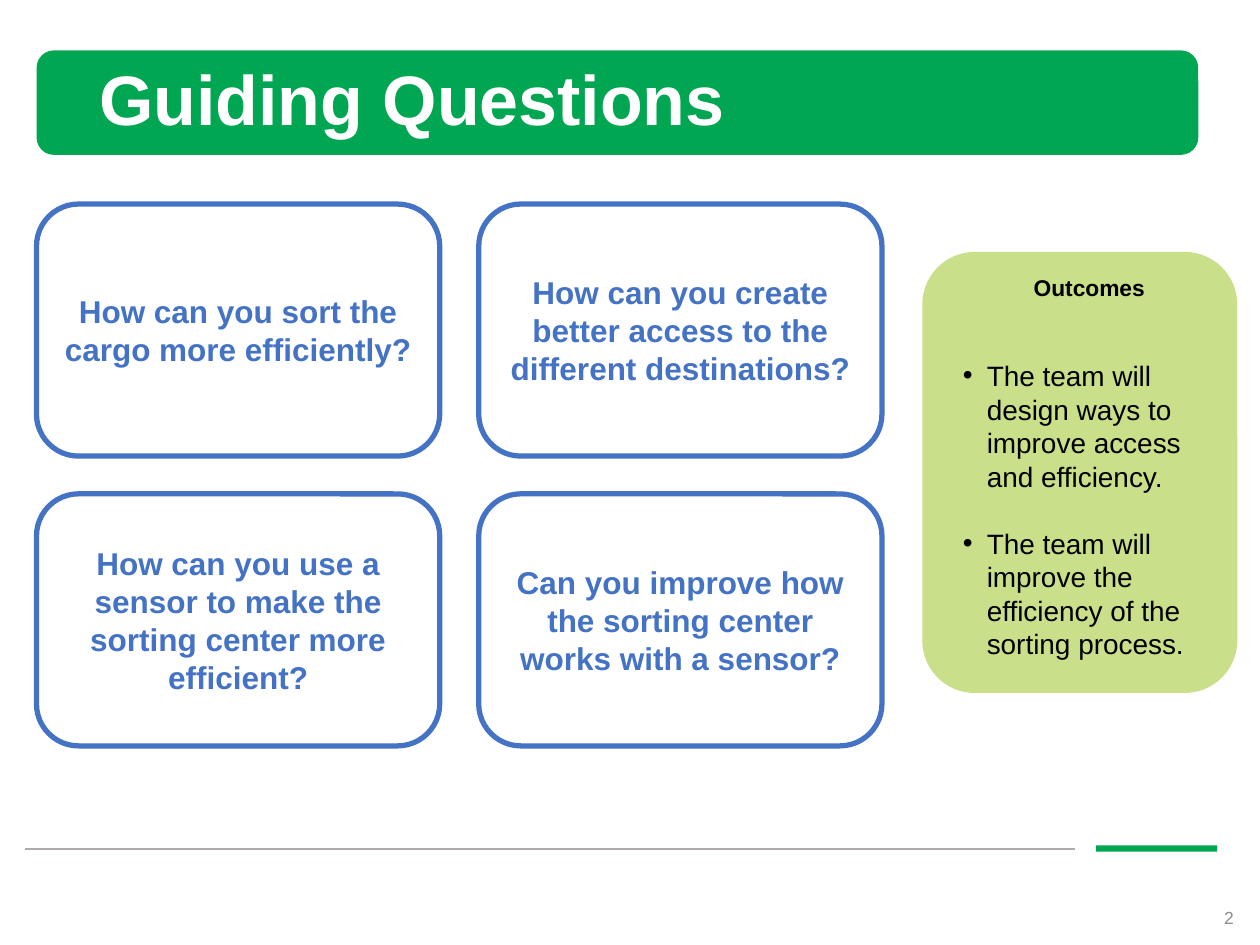
from itertools import product

from lxml.etree import SubElement
from pptx import Presentation
from pptx.dml.color import RGBColor
from pptx.enum.shapes import MSO_CONNECTOR, MSO_SHAPE
from pptx.enum.text import MSO_ANCHOR, PP_ALIGN
from pptx.oxml.ns import qn
from pptx.util import Inches, Pt

GREEN = RGBColor(0x00, 0xA6, 0x51)
LIME = RGBColor(0xC9, 0xDF, 0x89)
BLUE = RGBColor(0x44, 0x72, 0xC4)
RULE_GRAY = RGBColor(0xAF, 0xAB, 0xAB)
NUMBER_GRAY = RGBColor(0x8C, 0x8C, 0x8C)
WHITE = RGBColor(0xFF, 0xFF, 0xFF)
BLACK = RGBColor(0x00, 0x00, 0x00)

FONT = "Arial"
LEFT, TOP = 0.29, 1.62          # first question card
CARD_W, CARD_H = 3.2, 2.0
COL_STEP, ROW_STEP = 3.51, 2.3

QUESTIONS = [
    "How can you sort the cargo more efficiently?",
    "How can you create better access to the different destinations?",
    "How can you use a sensor to make the sorting center more efficient?",
    "Can you improve how the sorting center works with a sensor?",
]
OUTCOMES = [
    "The team will design ways to improve access and efficiency.",
    "The team will improve the efficiency of the sorting process.",
]


def set_frame(sp, anchor=MSO_ANCHOR.MIDDLE, insets=(0.1, 0.05, 0.1, 0.05)):
    """Prepare a text frame; insets are left, top, right, bottom."""
    tf = sp.text_frame
    tf.word_wrap = True
    tf.vertical_anchor = anchor
    (tf.margin_left, tf.margin_top,
     tf.margin_right, tf.margin_bottom) = map(Inches, insets)
    return tf


def add_text(tf, text, size=18, color=BLACK, bold=False, align=PP_ALIGN.LEFT,
             before=0, after=0, spacing=None, bullet=False):
    """Write one paragraph, using the empty first one when there is one."""
    first = tf.paragraphs[0]
    p = tf.add_paragraph() if first.runs else first
    p.alignment = align
    p.space_before, p.space_after = Pt(before), Pt(after)
    if spacing:
        p.line_spacing = spacing
    if bullet:
        pPr = p._p.get_or_add_pPr()
        pPr.set("marL", str(Inches(0.19)))
        pPr.set("indent", str(-Inches(0.19)))
        SubElement(pPr, qn("a:buFont")).set("typeface", FONT)
        SubElement(pPr, qn("a:buChar")).set("char", "•")
    r = p.add_run()
    r.text = text
    r.font.name, r.font.size, r.font.bold = FONT, Pt(size), bold
    r.font.color.rgb = color


def add_box(s, kind, x, y, w, h, fill, line=None):
    sp = s.shapes.add_shape(kind, *map(Inches, (x, y, w, h)))
    sp.shadow.inherit = False
    sp.fill.solid()
    sp.fill.fore_color.rgb = fill
    if line:
        sp.line.color.rgb = line
        sp.line.width = Pt(3)
    else:
        sp.line.fill.background()
    return sp


def add_label(s, x, y, w, h, text, **fmt):
    sp = s.shapes.add_textbox(*map(Inches, (x, y, w, h)))
    add_text(set_frame(sp), text, **fmt)


def add_rule(s, x1, x2, y):
    ln = s.shapes.add_connector(MSO_CONNECTOR.STRAIGHT,
                                *map(Inches, (x1, y, x2, y)))
    ln.line.color.rgb = RULE_GRAY
    ln.line.width = Pt(1)
    SubElement(ln._element.spPr, qn("a:effectLst"))


def add_question(s, col, row, text):
    sp = add_box(s, MSO_SHAPE.ROUNDED_RECTANGLE, LEFT + col * COL_STEP,
                 TOP + row * ROW_STEP, CARD_W, CARD_H, WHITE, BLUE)
    add_text(set_frame(sp), text, color=BLUE, bold=True,
             align=PP_ALIGN.CENTER)


def add_outcomes(s):
    sp = add_box(s, MSO_SHAPE.ROUNDED_RECTANGLE, 7.32, 2, 2.5, 3.5, LIME)
    tf = set_frame(sp, MSO_ANCHOR.TOP, (0.2, 0.05, 0.05, 0.1))
    add_text(tf, "Outcomes", size=13, bold=True, align=PP_ALIGN.CENTER,
             after=33)
    for i, text in enumerate(OUTCOMES):
        add_text(tf, text, size=16, bullet=True, before=19 if i else 0)


def main():
    prs = Presentation()
    prs.slide_width, prs.slide_height = Inches(10), Inches(7.5)
    s = prs.slides.add_slide(prs.slide_layouts[6])

    # Footer
    add_box(s, MSO_SHAPE.RECTANGLE, 8.7, 6.71, 0.96, 0.05, GREEN)
    add_rule(s, 0.2, 8.53, 6.74)
    add_label(s, 9.5, 7.17, 0.39, 0.23, "2", size=10, color=NUMBER_GRAY,
              align=PP_ALIGN.RIGHT)

    # Title banner
    add_box(s, MSO_SHAPE.ROUNDED_RECTANGLE, LEFT, 0.4, 9.22, 0.83, GREEN)
    add_label(s, 0.69, 0.4, 8.62, 0.83, "Guiding Questions", size=40,
              color=WHITE, bold=True, spacing=0.9)

    # Outcomes panel and the two-by-two grid of questions
    add_outcomes(s)
    for (row, col), text in zip(product(range(2), repeat=2), QUESTIONS):
        add_question(s, col, row, text)

    prs.save("out.pptx")


if __name__ == "__main__":
    main()
